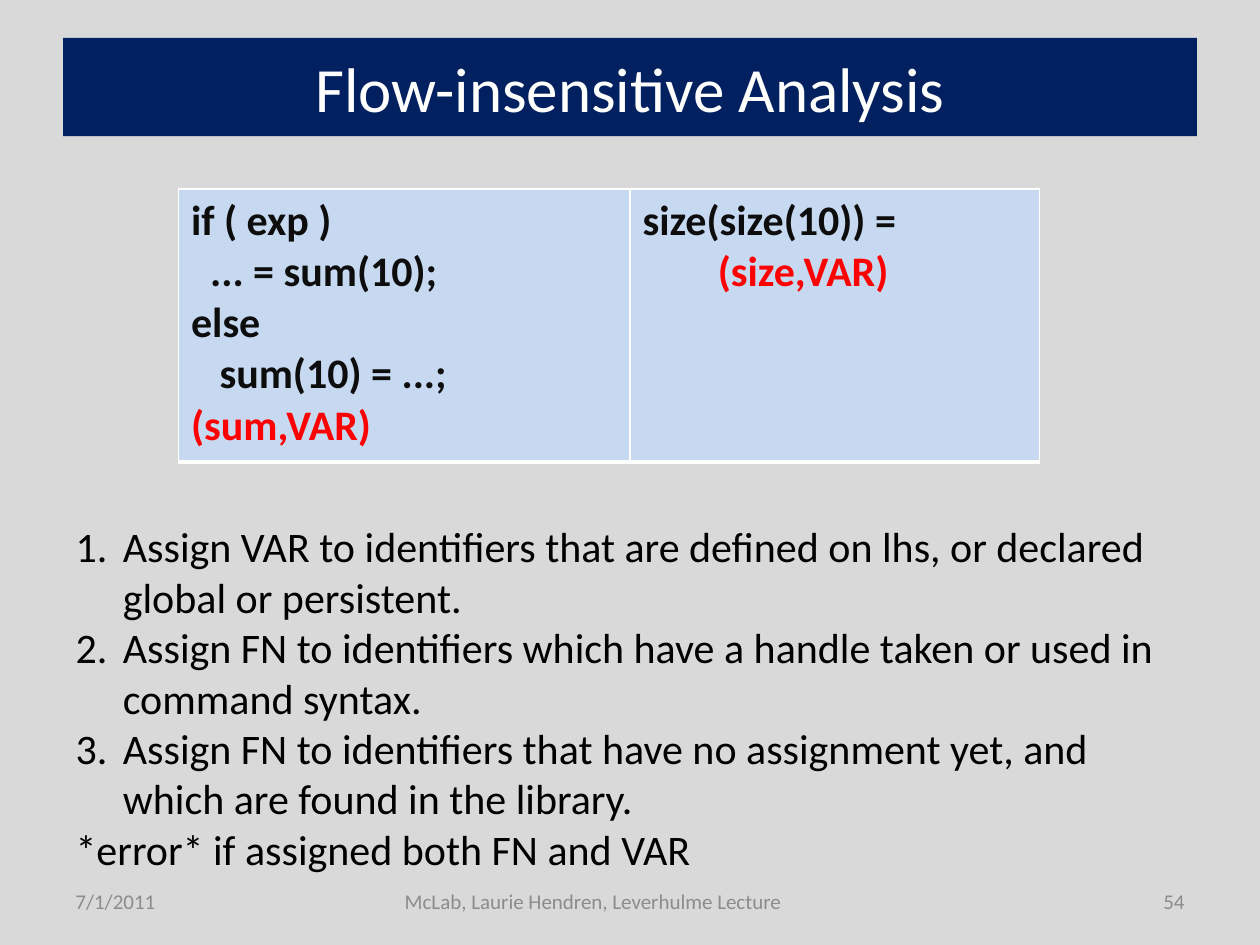
from lxml import etree
from pptx import Presentation
from pptx import util as u
from pptx.dml.color import RGBColor
from pptx.enum import text
from pptx.oxml import ns

NAVY, WHITE, BLACK, RED = "002060", "FFFFFF", "000000", "FF0000"
BACKGROUND, CELL_BLUE, CODE_INK, GREY = "D9D9D9", "C6D9F1", "0D0D0D", "8C8C8C"

RULES = [
    "Assign VAR to identifiers that are defined on lhs, or declared global or persistent.",
    "Assign FN to identifiers which have a handle taken or used in command syntax.",
    "Assign FN to identifiers that have no assignment yet, and which are found in the library.",
]
ERROR_RULE = "*error* if assigned both FN and VAR"

# Each line is (words, colour, left indent in points).
EXAMPLES = [
    [("if ( exp )", CODE_INK, 0), ("  ... = sum(10);", CODE_INK, 0), ("else", CODE_INK, 0),
     ("   sum(10) = ...;", CODE_INK, 0), ("(sum,VAR)", RED, 0)],
    [("size(size(10)) =", CODE_INK, 0), ("(size,VAR)", RED, 43)],
]


def paint(fill, colour):
    """Give a fill one solid colour."""
    fill.solid()
    fill.fore_color.rgb = RGBColor.from_string(colour)


def style(paragraph, size, colour, bold=False):
    """Set the font of a whole paragraph."""
    font = paragraph.font
    font.name, font.size, font.bold = "Calibri", u.Pt(size), bold
    font.color.rgb = RGBColor.from_string(colour)


def place(shape, left, top, width, height):
    """Move and size a shape in points."""
    shape.left, shape.top = u.Pt(left), u.Pt(top)
    shape.width, shape.height = u.Pt(width), u.Pt(height)


def paragraphs(frame, count):
    """Return the first paragraph of a frame and as many new ones as needed."""
    return [frame.paragraphs[0]] + [frame.add_paragraph() for _ in range(count - 1)]


def indent(paragraph, left, first=0):
    """Set the left and first-line indents and return the properties."""
    properties = paragraph._p.get_or_add_pPr()
    properties.set("marL", str(u.Pt(left)))
    properties.set("indent", str(u.Pt(first)))
    return properties


def add_title(slide, words):
    """Fill the title placeholder as a navy banner."""
    title = slide.shapes.title
    place(title, 36, 21.6, 648, 56.2)
    paint(title.fill, NAVY)
    frame = title.text_frame
    frame.text = words
    frame.vertical_anchor = text.MSO_ANCHOR.MIDDLE
    frame.paragraphs[0].alignment = text.PP_ALIGN.CENTER
    style(frame.paragraphs[0], 36, WHITE)


def add_rules(slide):
    """Fill the body placeholder with the numbered rules and the error case."""
    body = slide.placeholders[1]
    place(body, 36, 294, 654, 211)
    frame = body.text_frame
    frame.auto_size = text.MSO_AUTO_SIZE.NONE
    lines = RULES + [ERROR_RULE]
    for paragraph, words in zip(paragraphs(frame, len(lines)), lines):
        paragraph.text = words
        properties = indent(paragraph, 27, -27)
        if words == ERROR_RULE:
            etree.SubElement(properties, ns.qn("a:buNone"))
        else:
            etree.SubElement(properties, ns.qn("a:buFont"), typeface="+mj-lt")
            etree.SubElement(properties, ns.qn("a:buAutoNum"), type="arabicPeriod")
        paragraph.space_before = u.Pt(0)
        style(paragraph, 24, BLACK)


def add_borders(cell):
    """Draw white cell borders with a heavier bottom edge."""
    properties = cell._tc.get_or_add_tcPr()
    for side, width in (("L", 1), ("R", 1), ("T", 1), ("B", 3)):
        line = etree.SubElement(properties, ns.qn(f"a:ln{side}"), w=str(u.Pt(width)))
        solid = etree.SubElement(line, ns.qn("a:solidFill"))
        etree.SubElement(solid, ns.qn("a:srgbClr"), val=WHITE)


def add_examples(slide):
    """Add the table of code examples."""
    frame = slide.shapes.add_table(1, 2, u.Pt(102), u.Pt(108), u.Pt(492), u.Pt(156))
    table = frame.table
    table.first_row = table.horz_banding = False
    for column, width in zip(table.columns, (258, 234)):
        column.width = u.Pt(width)
    for cell, lines in zip(table.rows[0].cells, EXAMPLES):
        add_borders(cell)
        paint(cell.fill, CELL_BLUE)
        rows = paragraphs(cell.text_frame, len(lines))
        for paragraph, (words, colour, left) in zip(rows, lines):
            paragraph.text = words
            indent(paragraph, left)
            style(paragraph, 24, colour, bold=True)


def add_footer(slide, words, left, width, alignment):
    """Add one grey footer entry."""
    footer = slide.shapes.add_textbox(u.Pt(left), u.Pt(500.5), u.Pt(width), u.Pt(28.8))
    frame = footer.text_frame
    frame.word_wrap = True
    frame.vertical_anchor = text.MSO_ANCHOR.MIDDLE
    frame.text = words
    frame.paragraphs[0].alignment = alignment
    style(frame.paragraphs[0], 12, GREY)


def main():
    """Build and save the slide."""
    deck = Presentation()
    deck.slide_width, deck.slide_height = u.Pt(720), u.Pt(540)
    slide = deck.slides.add_slide(deck.slide_layouts[1])
    paint(slide.background.fill, BACKGROUND)
    add_title(slide, "Flow-insensitive Analysis")
    add_footer(slide, "7/1/2011", 36, 84, text.PP_ALIGN.LEFT)
    add_footer(slide, "McLab, Laurie Hendren, Leverhulme Lecture", 144, 390,
               text.PP_ALIGN.CENTER)
    add_footer(slide, "54", 606, 78, text.PP_ALIGN.RIGHT)
    add_examples(slide)
    add_rules(slide)
    deck.save("out.pptx")


if __name__ == "__main__":
    main()
